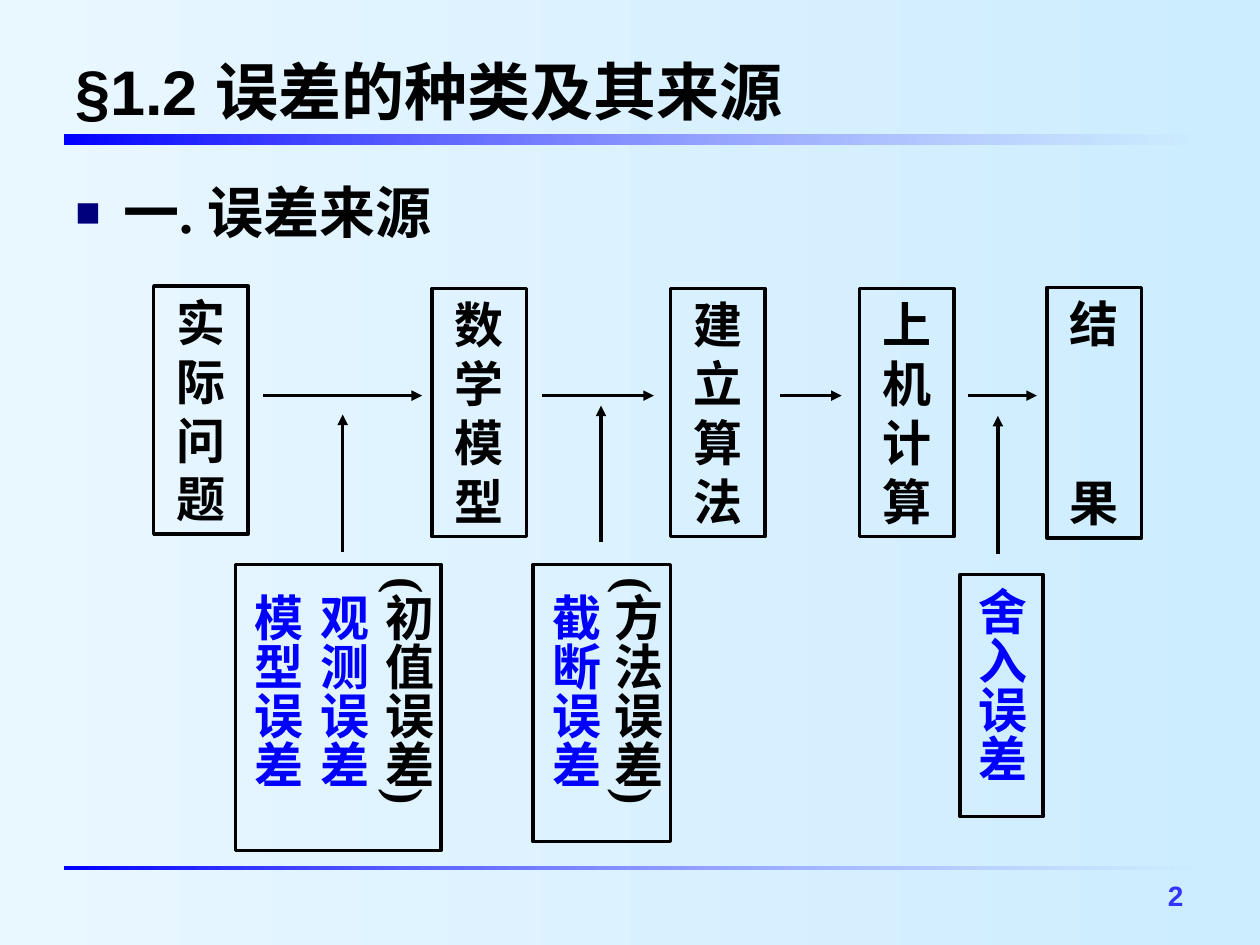
import pptx
import pptx.util
import pptx.dml.color
import pptx.enum.shapes
import pptx.enum.text
import pptx.oxml
import pptx.oxml.ns
from pptx.util import Inches

BLACK, BLUE, NUMBER_BLUE = "000000", "0000FF", "3333FF"
SERIF, SANS = "Times New Roman", "Arial"
ALIGN = pptx.enum.text.PP_ALIGN
ANCHOR = pptx.enum.text.MSO_ANCHOR
STAGES = [
    (0, 0, 1.97, ["实际问题"]),
    (2.21, 0.02, 1.97, ["数学模型"]),
    (4.1, 0.02, 1.97, ["建立算法"]),
    (5.6, 0.02, 1.97, ["上机计算"]),
    (7.09, 0.01, 1.99, ["结", "果"]),
]
STAGE_ARROWS = [(0.87, 2.13), (3.08, 3.97), (4.97, 5.46), (6.46, 7.01)]
ERROR_SOURCES = [
    ((0, 0, 1.63, 2.27), 8.8, 0.85, [("(初值误差)", BLACK), ("观测误差", BLUE), ("模型误差", BLUE)]),
    ((2.36, 0, 1.09, 2.2), 7, 0.85, [("(方法误差)", BLACK), ("截断误差", BLUE)]),
    ((5.75, 0.08, 0.66, 1.92), 0, 1, [("舍入误差", BLUE)]),
]
ERROR_ARROWS = [(0.85, -0.1, -1.19), (2.9, -0.18, -1.26), (6.05, -0.08, -1.18)]


def color(hex_string):
    """Turn a hex string into a colour."""
    return pptx.dml.color.RGBColor.from_string(hex_string)


def add_xml(parent, tag, **attributes):
    """Append a drawing element to a parent and return it."""
    element = pptx.oxml.parse_xml(f"<{tag} {pptx.oxml.ns.nsdecls('a')}/>")
    for name, value in attributes.items():
        element.set(name, value)
    parent.append(element)
    return element


def fill_gradient(fill, start, end):
    """Fill from left to right with two colours."""
    fill.gradient()
    fill.gradient_angle = 0
    for stop, position, hex_string in zip(fill.gradient_stops, (0, 1), (start, end)):
        stop.position = position
        stop.color.rgb = color(hex_string)


def add_fading_rule(slide, left, top, width, height):
    """Draw a bar that fades out to the right."""
    rule = slide.shapes.add_shape(
        pptx.enum.shapes.MSO_SHAPE.RECTANGLE, *map(Inches, (left, top, width, height)))
    rule.shadow.inherit = False
    rule.line.fill.background()
    fill_gradient(rule.fill, BLUE, "6565FF")
    end_color = rule.fill._xPr.findall(".//" + pptx.oxml.ns.qn("a:srgbClr"))[-1]
    add_xml(end_color, "a:alpha", val="0")


def style_paragraph(paragraph, text, size, font, hex_string, align=ALIGN.LEFT):
    """Write bold text into a paragraph."""
    paragraph.text = text
    paragraph.alignment = align
    paragraph.font.size = pptx.util.Pt(size)
    paragraph.font.name = font
    paragraph.font.bold = True
    paragraph.font.color.rgb = color(hex_string)


def add_label(slide, box, anchor, *style):
    """Place a one-paragraph text box and return its paragraph."""
    frame = slide.shapes.add_textbox(*map(Inches, box)).text_frame
    frame.word_wrap = True
    frame.vertical_anchor = anchor
    style_paragraph(frame.paragraphs[0], *style)
    return frame.paragraphs[0]


def add_frame(slide, left, top, width, height, margin_x, margin_y):
    """Draw an outlined box and return its text frame."""
    outline = slide.shapes.add_shape(
        pptx.enum.shapes.MSO_SHAPE.RECTANGLE, *map(Inches, (left, top, width, height)))
    outline.shadow.inherit = False
    outline.fill.background()
    outline.line.color.rgb = color(BLACK)
    outline.line.width = pptx.util.Pt(2)
    frame = outline.text_frame
    frame.word_wrap = True
    frame.vertical_anchor = ANCHOR.MIDDLE
    frame.margin_left = frame.margin_right = Inches(margin_x)
    frame.margin_top = frame.margin_bottom = Inches(margin_y)
    return frame


def add_arrow(slide, x1, y1, x2, y2):
    """Draw a straight arrow."""
    arrow = slide.shapes.add_connector(
        pptx.enum.shapes.MSO_CONNECTOR.STRAIGHT, *map(Inches, (x1, y1, x2, y2)))
    arrow.line.color.rgb = color(BLACK)
    arrow.line.width = pptx.util.Pt(2)
    add_xml(arrow.line._get_or_add_ln(), "a:tailEnd", type="triangle")
    add_xml(arrow._element.spPr, "a:effectLst")


def add_header(slide, left, top, width):
    """Place the title, its rule and the section heading."""
    add_label(slide, (left, top, width, 0.71), ANCHOR.MIDDLE,
              "§1.2 误差的种类及其来源", 36, SANS, BLACK)
    add_fading_rule(slide, left + 0.01, top + 0.71, width - 0.02, 0.08)
    heading = add_label(slide, (left, top + 0.95, width, 0.75), ANCHOR.TOP,
                        "一. 误差来源", 32, SERIF, BLACK)
    heading.line_spacing = 1.1
    properties = heading._p.get_or_add_pPr()
    properties.set("marL", str(Inches(0.38)))
    properties.set("indent", str(Inches(-0.38)))
    bullet_parts = [
        add_xml(properties, "a:buClr"),
        add_xml(properties, "a:buSzPct", val="75000"),
        add_xml(properties, "a:buFont", typeface=SANS),
        add_xml(properties, "a:buChar", char="■"),
    ]
    add_xml(bullet_parts[0], "a:srgbClr", val="00007D")
    default_run = properties.find(pptx.oxml.ns.qn("a:defRPr"))
    properties.append(default_run)


def add_stages(slide, left, top):
    """Draw the row of problem-solving stages and their arrows."""
    for dx, dy, height, texts in STAGES:
        frame = add_frame(slide, left + dx, top + dy, 0.75, height, 0.1, 0.05)
        for index, text in enumerate(texts):
            paragraph = frame.add_paragraph() if index else frame.paragraphs[0]
            style_paragraph(paragraph, text, 28, SERIF, BLACK, ALIGN.CENTER)
            if index:
                paragraph.space_before = pptx.util.Pt(68.8)
    for start, end in STAGE_ARROWS:
        add_arrow(slide, left + start, top + 0.87, left + end, top + 0.87)


def add_error_sources(slide, left, top):
    """Draw the vertical error boxes and the arrows to the stages."""
    for (dx, dy, width, height), gap, spacing, errors in ERROR_SOURCES:
        frame = add_frame(slide, left + dx, top + dy, width, height, 0.05, 0.1)
        frame._txBody.bodyPr.set("vert", "eaVert")
        for index, (text, hex_string) in enumerate(errors):
            paragraph = frame.add_paragraph() if index else frame.paragraphs[0]
            style_paragraph(paragraph, text, 28, SERIF, hex_string, ALIGN.CENTER)
            paragraph.line_spacing = float(spacing)
            if index:
                paragraph.space_before = pptx.util.Pt(gap)
    for dx, start, end in ERROR_ARROWS:
        add_arrow(slide, left + dx, top + start, left + dx, top + end)


def add_footer(slide, left, top, width):
    """Place the bottom rule and the page number."""
    add_fading_rule(slide, left, top, width, 0.02)
    add_label(slide, (left + width - 2.32, top - 0.05, 2.32, 0.46), ANCHOR.BOTTOM,
              "2", 16, SANS, NUMBER_BLUE, ALIGN.RIGHT)


def main():
    """Build and save the slide."""
    presentation = pptx.Presentation()
    presentation.slide_width = Inches(10)
    presentation.slide_height = Inches(7.5)
    slide = presentation.slides.add_slide(presentation.slide_layouts[6])
    fill_gradient(slide.background.fill, "E9F7FF", "CCECFF")
    add_header(slide, 0.5, 0.36, 9)
    add_stages(slide, 1.22, 2.27)
    add_error_sources(slide, 1.87, 4.48)
    add_footer(slide, 0.51, 6.88, 8.98)
    presentation.save("out.pptx")


if __name__ == "__main__":
    main()
